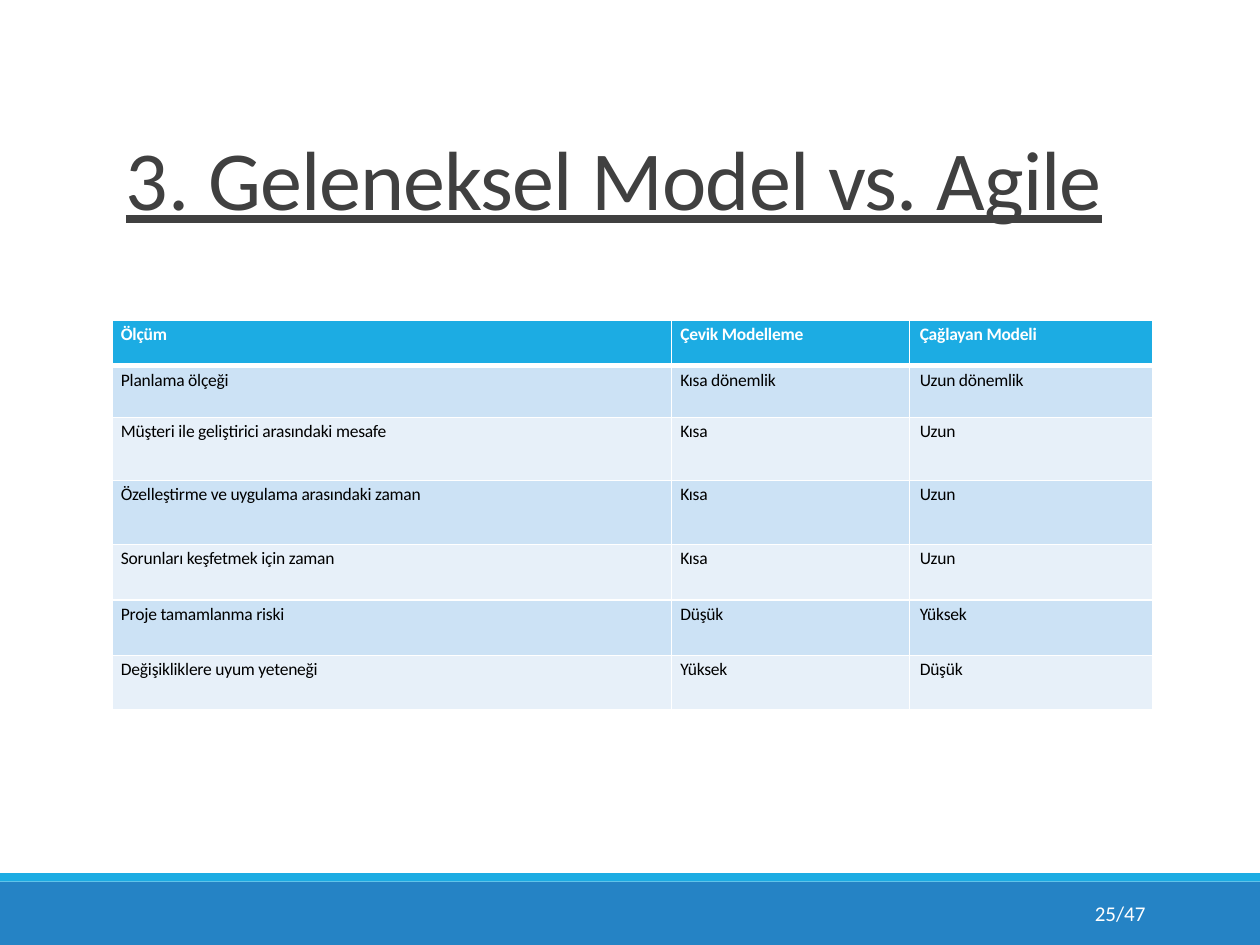
import pptx
import pptx.dml.color
import pptx.enum.shapes
import pptx.oxml.ns
import pptx.util
from lxml import etree

WIDTH, HEIGHT = pptx.util.Inches(10), pptx.util.Inches(7.5)
FONT = "Calibri"
TITLE_RUNS = [("3. ", -0.2), ("Geleneksel ", -0.5), ("Model ", -0.4),
              ("vs.", -0.5), (" ", -3.5), ("Agile", -0.5)]
ROWS = [
    ("Ölçüm", "Çevik Modelleme", "Çağlayan Modeli"),
    ("Planlama ölçeği", "Kısa dönemlik", "Uzun dönemlik"),
    ("Müşteri ile geliştirici arasındaki mesafe", "Kısa", "Uzun"),
    ("Özelleştirme ve uygulama arasındaki zaman", "Kısa", "Uzun"),
    ("Sorunları keşfetmek için zaman", "Kısa", "Uzun"),
    ("Proje tamamlanma riski", "Düşük", "Yüksek"),
    ("Değişikliklere uyum yeteneği", "Yüksek", "Düşük"),
]
COLUMN_WIDTHS = (4.44, 1.89, 1.93)
ROW_HEIGHTS = (0.36, 0.41, 0.5, 0.51, 0.44, 0.44, 0.43)


def color(value):
    """Turn a hex string into a colour."""
    return pptx.dml.color.RGBColor.from_string(value)


def share(x, y, w, h):
    """Turn shares of the slide into a box of lengths."""
    return int(x * WIDTH), int(y * HEIGHT), int(w * WIDTH), int(h * HEIGHT)


def set_margins(frame, left, top):
    """Set the left and top margins and clear the others."""
    frame.margin_left, frame.margin_top = pptx.util.Inches(left), pptx.util.Inches(top)
    frame.margin_right = frame.margin_bottom = 0


def add_run(p, text, size, fill, spacing=0, bold=False, underline=False):
    """Add one styled run to a paragraph."""
    r = p.add_run()
    r.text = text
    r.font.name, r.font.size = FONT, pptx.util.Pt(size)
    r.font.bold, r.font.underline = bold, underline
    r.font.color.rgb = color(fill)
    if spacing:
        r.font._element.set("spc", str(round(spacing * 100)))


def add_text_box(s, box, left, top):
    """Add a wrapping text box and return its first paragraph."""
    tf = s.shapes.add_textbox(*box).text_frame
    tf.word_wrap = True
    set_margins(tf, left, top)
    return tf.paragraphs[0]


def add_title(s, box):
    """Write the underlined title into the box."""
    p = add_text_box(s, box, 0.17, 0.01)
    p.space_before = pptx.util.Pt(1)
    for text, spacing in TITLE_RUNS:
        add_run(p, text, 48, "404040", spacing, underline=True)


def add_bar(s, box, fill):
    """Draw one plain filled bar."""
    sp = s.shapes.add_shape(pptx.enum.shapes.MSO_SHAPE.RECTANGLE, *box)
    sp.shadow.inherit = False
    sp.fill.solid()
    sp.fill.fore_color.rgb = color(fill)
    sp.line.fill.background()


def add_footer(s, box):
    """Draw the two footer bars and the page number in the box."""
    left, top, width, height = box
    stripe = int(height * 0.12)
    add_bar(s, (left, top + stripe, width, height - stripe), "2583C5")
    add_bar(s, (left, top, width, stripe), "1CACE3")
    number = (left + int(width * 0.866), top + int(height * 0.35),
              int(width * 0.05), int(height * 0.44))
    p = add_text_box(s, number, 0.03, 0.05)
    p.line_spacing = pptx.util.Pt(12.4)
    add_run(p, "25/47", 12, "FFFFFF")


def add_borders(cell, widths):
    """Put white borders of the given point widths before the cell fill."""
    tc_pr = cell._tc.get_or_add_tcPr()
    for i, (side, width) in enumerate(widths.items()):
        ln = etree.Element(pptx.oxml.ns.qn(f"a:ln{side}"), w=str(pptx.util.Pt(width)))
        fill = etree.SubElement(ln, pptx.oxml.ns.qn("a:solidFill"))
        etree.SubElement(fill, pptx.oxml.ns.qn("a:srgbClr"), val="FFFFFF")
        tc_pr.insert(i, ln)


def add_comparison(s, box):
    """Fill the box with the comparison table."""
    table = s.shapes.add_table(len(ROWS), len(COLUMN_WIDTHS), *box).table
    for column, width in zip(table.columns, COLUMN_WIDTHS):
        column.width = int(box[2] * width / sum(COLUMN_WIDTHS))
    for row, height in zip(table.rows, ROW_HEIGHTS):
        row.height = int(box[3] * height / sum(ROW_HEIGHTS))
    for i, texts in enumerate(ROWS):
        header = i == 0
        fill = "1CACE3" if header else ("E7F0F9", "CCE2F5")[i % 2]
        for j, text in enumerate(texts):
            cell = table.cell(i, j)
            set_margins(cell, 0.08 if j == 2 else 0.07, 0.03)
            cell.fill.solid()
            cell.fill.fore_color.rgb = color(fill)
            add_borders(cell, {"L": 1, "R": 1, "T": 3 if i == 1 else 1, "B": 3 if header else 1})
            p = cell.text_frame.paragraphs[0]
            p.space_before = pptx.util.Pt(2.1)
            add_run(p, text, 10, "FFFFFF" if header else "000000", -0.1, bold=header)


def main():
    """Build the slide and save it."""
    prs = pptx.Presentation()
    prs.slide_width, prs.slide_height = WIDTH, HEIGHT
    s = prs.slides.add_slide(prs.slide_layouts[6])
    add_footer(s, share(0, 0.924, 1, 0.076))
    add_title(s, share(0.083, 0.133, 0.834, 0.111))
    add_comparison(s, share(0.089, 0.339, 0.826, 0.412))
    prs.save("out.pptx")


if __name__ == "__main__":
    main()
